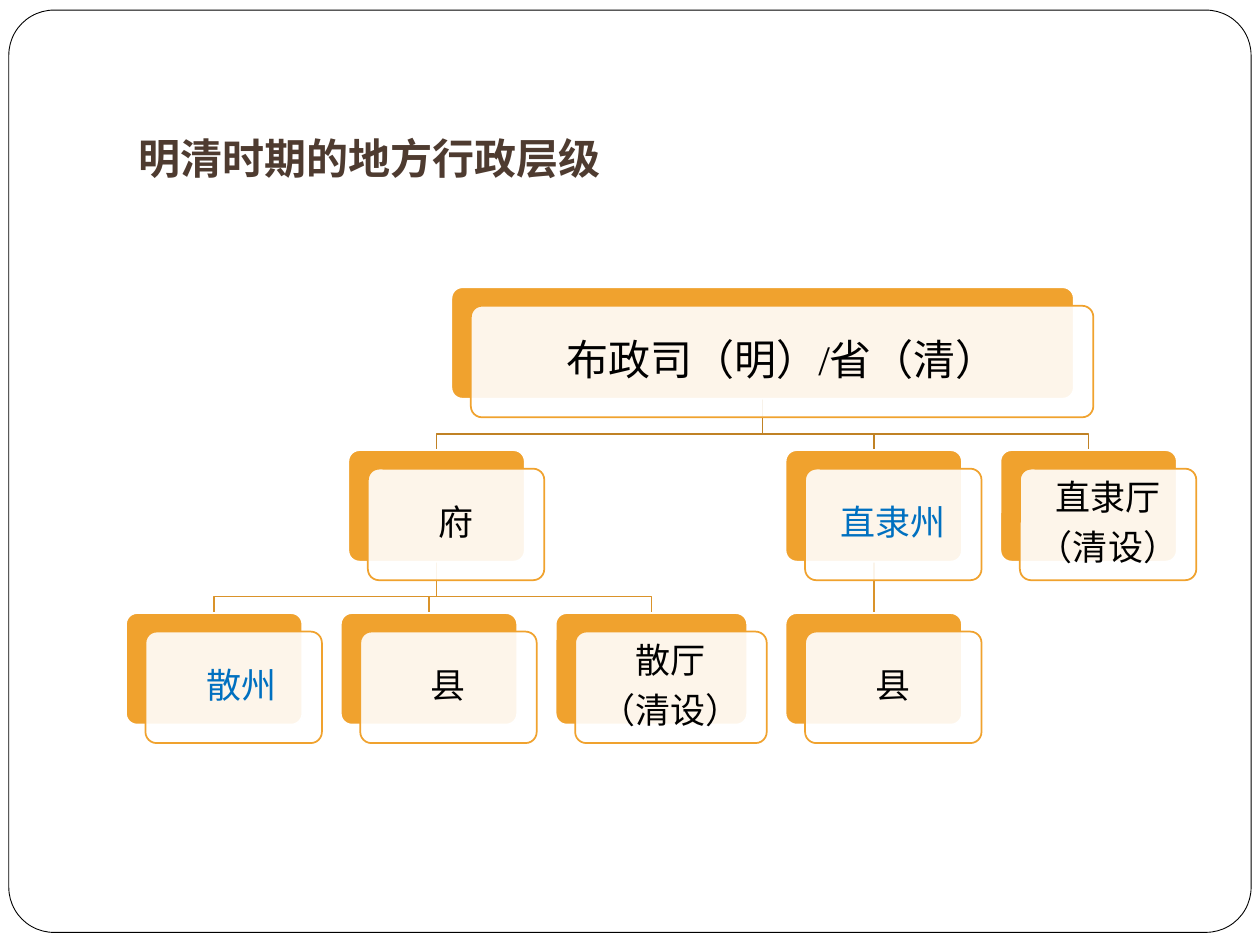
from dataclasses import dataclass

from lxml.etree import SubElement
from pptx import Presentation
from pptx.dml.color import RGBColor
from pptx.enum.shapes import MSO_CONNECTOR as Connector, MSO_SHAPE as Shape
from pptx.enum.text import MSO_ANCHOR as Anchor, MSO_AUTO_SIZE as AutoSize, PP_ALIGN as Align
from pptx.oxml.ns import qn
from pptx.util import Inches, Pt

COLORS = {"white": "FFFFFF", "black": "000000", "title": "4E3B30", "blue": "0070C0",
          "card": "F0A22E", "upper line": "C08225", "lower line": "DA932A"}
LATIN, CHINESE = "Times New Roman", "Noto Sans CJK SC"

# The slide is a grid of 100 columns and 75 rows
COLUMNS, ROWS = 100, 75
UNIT = 10 / COLUMNS
TREE_LEFT, TREE_TOP = 10, 22.8
CARD_HEIGHT, LEVEL_STEP, CARD_GAP = 8.85, 12.93, 3.05
SHIFT_X, SHIFT_Y = 1.55, 1.47
BEND = 0.68


def grid(*values):
    return [Inches(value * UNIT) for value in values]


def color(name):
    return RGBColor.from_string(COLORS[name])


def write(frame, text, size=20, fill="black", font=LATIN, bold=False, align=Align.CENTER,
          anchor=Anchor.MIDDLE, margins=(0.8, 0.8, 0.8, 0.8), spacing=0.9, after=35):
    """Fill a text frame, one paragraph for each line of text."""
    frame.word_wrap, frame.auto_size, frame.vertical_anchor = True, AutoSize.NONE, anchor
    (frame.margin_left, frame.margin_top,
     frame.margin_right, frame.margin_bottom) = grid(*margins)
    for index, line in enumerate(text.split("\n")):
        paragraph = frame.add_paragraph() if index else frame.paragraphs[0]
        paragraph.alignment, paragraph.line_spacing = align, spacing
        paragraph.space_after = Pt(0)
        if after:  # spacing as a percentage of the line
            space = paragraph._p.pPr.find(qn("a:spcAft"))
            space.remove(space[0])
            SubElement(space, qn("a:spcPct"), val=str(after * 1000))
        run = paragraph.add_run()
        run.text = line
        run.font.name, run.font.size, run.font.bold = font, Pt(size), bold
        run.font.color.rgb = color(fill)
        SubElement(run._r.rPr, qn("a:ea"), typeface=CHINESE)


@dataclass
class Node:
    text: str
    children: tuple = ()
    width: float = 14
    size: int = 20
    fill: str = "black"
    indent: float = 0
    left: float = 0
    top: float = 0
    shape: object = None

    @property
    def middle(self):
        return self.left + self.width / 2

    @property
    def bottom(self):
        return self.top + CARD_HEIGHT

    def place(self, left, level=0):
        """Set leaves side by side, centre parents above; return the right edge."""
        self.left, self.top = left, TREE_TOP + level * LEVEL_STEP
        right = left + self.width
        if self.children:
            start = left
            for child in self.children:
                right = child.place(start, level + 1)
                start = right + CARD_GAP
            first, last = self.children[0], self.children[-1]
            self.left = (first.left + last.left + last.width - self.width) / 2
        return right


class Deck:
    def __init__(self):
        self.presentation = Presentation()
        self.presentation.slide_width, self.presentation.slide_height = grid(COLUMNS, ROWS)
        self.slide = self.presentation.slides.add_slide(self.presentation.slide_layouts[5])
        self.shapes = self.slide.shapes
        self.first_card = None

    def rounded(self, left, top, width, height, fill, line, radius=0.1, weight=1):
        shape = self.shapes.add_shape(Shape.ROUNDED_RECTANGLE, *grid(left, top, width, height))
        shape.adjustments[0] = radius
        shape.shadow.inherit = False
        shape.fill.solid()
        shape.fill.fore_color.rgb = color(fill)
        shape.line.color.rgb, shape.line.width = color(line), Pt(weight)
        return shape

    def title(self, text):
        title = self.shapes.title
        title.left, title.top, title.width, title.height = grid(10, 3, 85, 12.5)
        write(title.text_frame, text, size=24, fill="title", font=CHINESE, bold=True,
              align=Align.LEFT, anchor=Anchor.BOTTOM, margins=(1, 0.5, 1, 1),
              spacing=1, after=0)

    def frame(self):
        border = self.rounded(0.7, 0.8, 98.6, 73.2, "white", "black", radius=0.049, weight=0.5)
        self.shapes.title._element.addprevious(border._element)

    def card(self, node):
        node.shape = self.rounded(node.left, node.top, node.width, CARD_HEIGHT, "card", "white")
        self.first_card = self.first_card or node.shape
        front = self.rounded(node.left + SHIFT_X, node.top + SHIFT_Y, node.width, CARD_HEIGHT,
                             "white", "card")
        tint = front.fill._xPr.find(qn("a:solidFill"))[0]
        SubElement(tint, qn("a:alpha"), val="90000")
        write(front.text_frame, node.text, size=node.size, fill=node.fill,
              margins=(0.8 + node.indent, 0.8, 0.8, 0.8))

    def link(self, parent, child, line):
        if parent.middle == child.middle:
            link = self.shapes.add_connector(
                Connector.STRAIGHT, *grid(parent.middle, parent.bottom, child.middle, child.top))
            link.begin_connect(parent.shape, 2)
            link.end_connect(child.shape, 0)
            SubElement(link._element.spPr, qn("a:effectLst"))
        else:
            bend = parent.bottom + BEND * (child.top - parent.bottom)
            builder = self.shapes.build_freeform(*grid(parent.middle, parent.bottom))
            builder.add_line_segments([grid(parent.middle, bend), grid(child.middle, bend),
                                       grid(child.middle, child.top)], close=False)
            link = builder.convert_to_shape()
            link.fill.background()
            link.shadow.inherit = False
        link.line.color.rgb, link.line.width = color(line), Pt(1)
        self.first_card._element.addprevious(link._element)

    def tree(self, node, line="upper line"):
        self.card(node)
        for child in node.children:
            self.tree(child, "lower line")
            self.link(node, child, line)


def main():
    deck = Deck()
    deck.title("明清时期的地方行政层级")
    deck.frame()

    # Administrative levels, from province down to county
    prefecture = Node("府", (Node("散州", fill="blue", indent=1.2), Node("县"),
                            Node("散厅\n（清设）", width=15.2)))
    direct_department = Node("直隶州", (Node("县"),), fill="blue")
    direct_subprefecture = Node("直隶厅\n（清设）")
    province = Node("布政司（明）/省（清）", (prefecture, direct_department, direct_subprefecture),
                    width=49.4, size=24)
    province.place(TREE_LEFT)
    deck.tree(province)

    deck.presentation.save("out.pptx")


if __name__ == "__main__":
    main()
